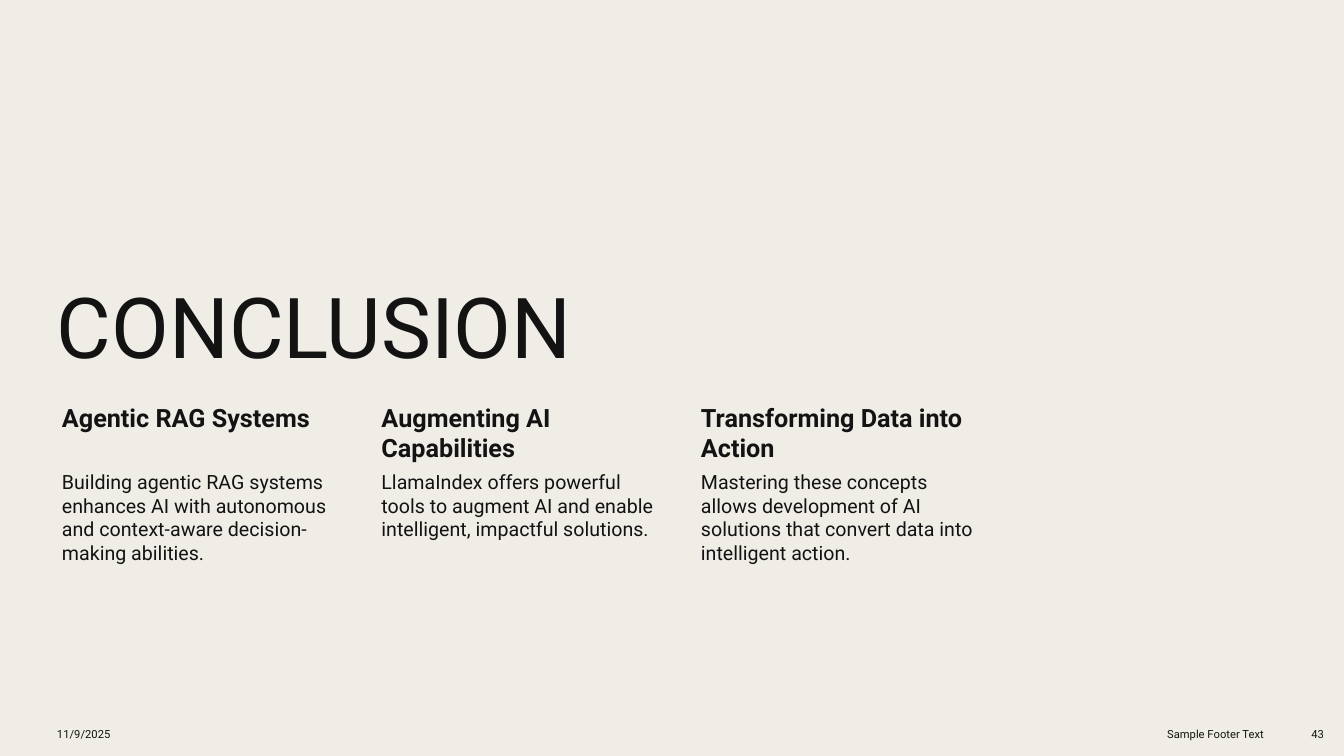
from collections import namedtuple
from dataclasses import dataclass

from pptx import Presentation
from pptx.dml.color import RGBColor
from pptx.enum.text import MSO_ANCHOR, MSO_AUTO_SIZE, PP_ALIGN
from pptx.util import Pt

EMU_PER_PX = 914400 / 100.8
Box = namedtuple("Box", "left top width height")


@dataclass(frozen=True)
class Theme:
    font: str = "Roboto"
    ink: RGBColor = RGBColor(0x13, 0x13, 0x13)
    paper: RGBColor = RGBColor(0xF0, 0xED, 0xE6)
    title: int = 60
    heading: int = 18
    body: int = 14
    footer: int = 8


THEME = Theme()

TAKEAWAYS = [
    ("Agentic RAG Systems",
     "Building agentic RAG systems enhances AI with autonomous and "
     "context-aware decision-making abilities."),
    ("Augmenting AI Capabilities",
     "LlamaIndex offers powerful tools to augment AI and enable "
     "intelligent, impactful solutions."),
    ("Transforming Data into Action",
     "Mastering these concepts allows development of AI solutions that "
     "convert data into intelligent action."),
]


def px(length):
    return round(length * EMU_PER_PX)


def place(shape, box):
    shape.left, shape.top, shape.width, shape.height = map(px, box)


def write(shape, text, size, bold=False, anchor=MSO_ANCHOR.TOP,
          align=PP_ALIGN.LEFT, margins=(10, 5, 10, 5)):
    frame = shape.text_frame
    frame.word_wrap = True
    frame.auto_size = MSO_AUTO_SIZE.NONE
    frame.vertical_anchor = anchor
    (frame.margin_left, frame.margin_top,
     frame.margin_right, frame.margin_bottom) = map(px, margins)
    para = frame.paragraphs[0]
    para.alignment = align
    span = para.add_run()
    span.text = text
    span.font.name = THEME.font
    span.font.size = Pt(size)
    span.font.bold = bold
    span.font.color.rgb = THEME.ink
    return para


def add_text(page, box, text, size, **style):
    shape = page.shapes.add_textbox(*map(px, box))
    return write(shape, text, size, **style)


def add_title(page, box):
    title = page.shapes.title
    place(title, box)
    para = write(title, "CONCLUSION", THEME.title, anchor=MSO_ANCHOR.BOTTOM)
    para.line_spacing = 0.9


def add_takeaways(page, box):
    width, heading_height = 290, 69
    step = (box.width - width) / (len(TAKEAWAYS) - 1)
    for index, (heading, detail) in enumerate(TAKEAWAYS):
        left = box.left + index * step
        add_text(page, Box(left, box.top, width, heading_height), heading,
                 THEME.heading, bold=True, margins=(15, 3, 3, 3))
        add_text(page, Box(left, box.top + heading_height, width,
                           box.height - heading_height), detail,
                 THEME.body, margins=(15, 2, 2, 2))


def add_footer(page, box):
    parts = [
        (0, 313, "11/9/2025", PP_ALIGN.LEFT),
        (934, 293, "Sample Footer Text", PP_ALIGN.RIGHT),
        (1237, 50, "43", PP_ALIGN.RIGHT),
    ]
    for offset, width, text, align in parts:
        add_text(page, Box(box.left + offset, box.top, width, box.height),
                 text, THEME.footer, anchor=MSO_ANCHOR.MIDDLE, align=align)


def add_conclusion(deck):
    page = deck.slides.add_slide(deck.slide_layouts[5])
    page.background.fill.solid()
    page.background.fill.fore_color.rgb = THEME.paper
    add_title(page, Box(47, 179, 929, 203))
    add_takeaways(page, Box(47, 399, 929, 202))
    add_footer(page, Box(47, 716, 1287, 37))


def main():
    deck = Presentation()
    deck.slide_width, deck.slide_height = px(1344), px(756)
    add_conclusion(deck)
    deck.save("out.pptx")


if __name__ == "__main__":
    main()
